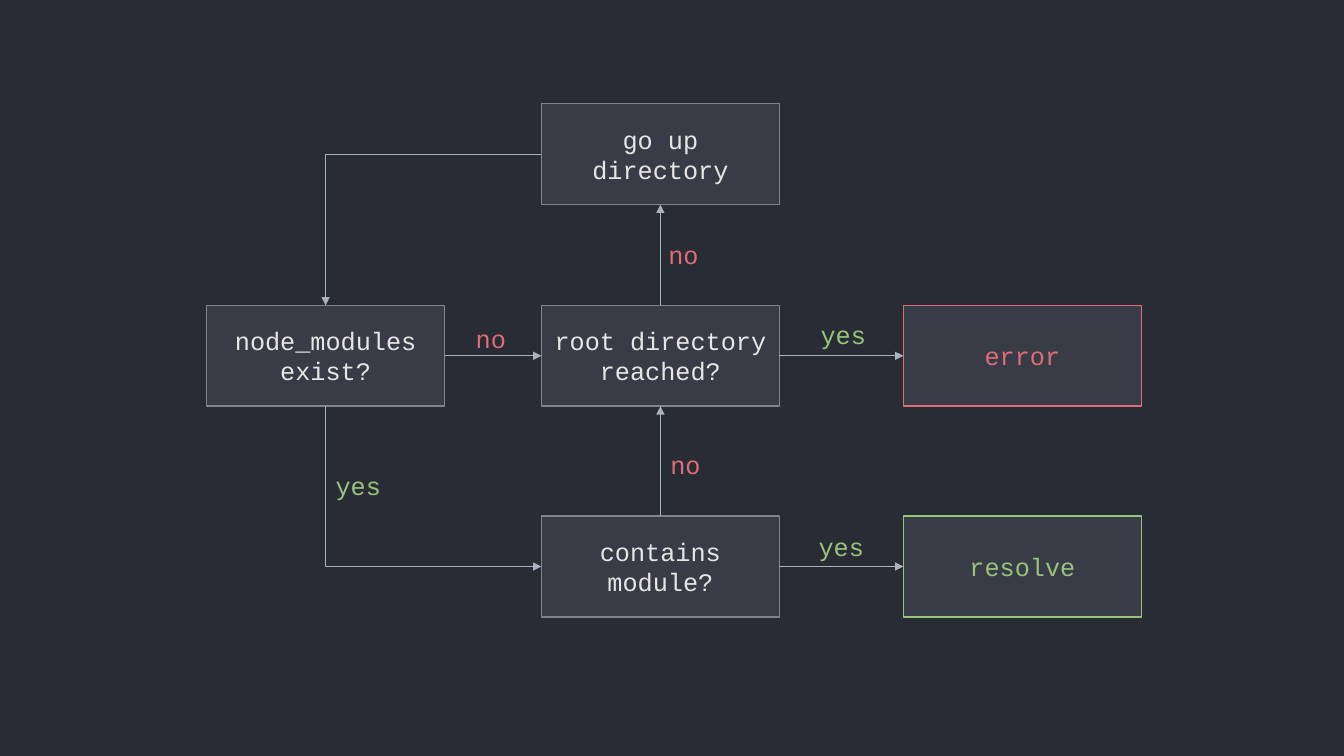
from dataclasses import dataclass

from lxml.etree import SubElement
from pptx import Presentation
from pptx.dml.color import RGBColor as RGB
from pptx.enum.shapes import MSO_CONNECTOR as LINE, MSO_SHAPE as SHAPE
from pptx.enum.text import MSO_ANCHOR as ANCHOR, MSO_AUTO_SIZE as AUTO, PP_ALIGN as ALIGN
from pptx.oxml.ns import qn
from pptx.util import Pt

PX = 9144  # EMU per px, 100 px to the inch
COLS = (205, 537, 896)
ROWS = (103, 303, 512)
BOX_W, BOX_H = 236, 100
TOP, LEFT, BOTTOM, RIGHT = range(4)  # connection sites of a rectangle


@dataclass(frozen=True)
class Theme:
    back: RGB = RGB.from_string("282C34")
    box: RGB = RGB.from_string("373C47")
    border: RGB = RGB.from_string("7F848D")
    text: RGB = RGB.from_string("E7E6E6")
    arrow: RGB = RGB.from_string("ABB2BF")
    yes: RGB = RGB.from_string("98C379")
    no: RGB = RGB.from_string("E06C75")
    font: str = "Courier New"
    size: Pt = Pt(18)
    border_width: Pt = Pt(1)
    arrow_width: Pt = Pt(0.5)


THEME = Theme()


def write(tf, text, color):
    tf.text = text
    font = tf.paragraphs[0].runs[0].font
    font.name, font.size = THEME.font, THEME.size
    font.color.rgb = color


def add_box(s, col, row, text, border=THEME.border, color=THEME.text):
    sp = s.shapes.add_shape(SHAPE.RECTANGLE, COLS[col] * PX, ROWS[row] * PX,
                            BOX_W * PX, BOX_H * PX)
    sp.shadow.inherit = False
    sp.fill.solid()
    sp.fill.fore_color.rgb = THEME.box
    sp.line.color.rgb = border
    sp.line.width = THEME.border_width
    tf = sp.text_frame
    tf.word_wrap = True
    tf.vertical_anchor = ANCHOR.MIDDLE
    write(tf, text, color)
    tf.paragraphs[0].alignment = ALIGN.CENTER
    return sp


def add_label(s, left, top, text, color):
    width = 20 + 15 * len(text)
    tf = s.shapes.add_textbox(left * PX, top * PX, width * PX, 40 * PX).text_frame
    tf.word_wrap = False
    tf.auto_size = AUTO.SHAPE_TO_FIT_TEXT
    write(tf, text, color)


def add_arrow(s, start, start_site, end, end_site, kind=LINE.STRAIGHT):
    cxn = s.shapes.add_connector(kind, 0, 0, 0, 0)
    cxn.begin_connect(start, start_site)
    cxn.end_connect(end, end_site)
    cxn.line.color.rgb = THEME.arrow
    cxn.line.width = THEME.arrow_width
    SubElement(cxn.line._get_or_add_ln(), qn("a:tailEnd"), type="triangle")
    SubElement(cxn._element.spPr, qn("a:effectLst"))
    return cxn


def add_elbow(s, start, start_site, end, end_site):
    """Arrow with one corner; one leaving downwards is turned to run down, then right."""
    cxn = add_arrow(s, start, start_site, end, end_site, LINE.ELBOW)
    spPr = cxn._element.spPr
    spPr.find(qn("a:prstGeom")).set("prst", "bentConnector2")
    if start_site == BOTTOM:
        w, h = cxn.width, cxn.height
        cxn.left += (w - h) // 2
        cxn.top += (h - w) // 2
        cxn.width, cxn.height = h, w
        xfrm = spPr.find(qn("a:xfrm"))
        xfrm.set("rot", str(270 * 60000))
        xfrm.set("flipH", "1")


def main():
    prs = Presentation()
    prs.slide_width, prs.slide_height = 1333 * PX, 750 * PX
    s = prs.slides.add_slide(prs.slide_layouts[6])
    s.background.fill.solid()
    s.background.fill.fore_color.rgb = THEME.back

    go_up = add_box(s, 1, 0, "go up directory")
    exists = add_box(s, 0, 1, "node_modules exist?")
    root = add_box(s, 1, 1, "root directory reached?")
    error = add_box(s, 2, 1, "error", THEME.no, THEME.no)
    contains = add_box(s, 1, 2, "contains module?")
    resolve = add_box(s, 2, 2, "resolve", THEME.yes, THEME.yes)

    for start, end in ((exists, root), (root, error), (contains, resolve)):
        add_arrow(s, start, RIGHT, end, LEFT)
    for start, end in ((root, go_up), (contains, root)):
        add_arrow(s, start, TOP, end, BOTTOM)
    add_elbow(s, exists, BOTTOM, contains, LEFT)
    add_elbow(s, go_up, LEFT, exists, TOP)

    for left, top in ((653, 233), (462, 316), (655, 441)):
        add_label(s, left, top, "no", THEME.no)
    for left, top in ((323, 462), (802, 522), (804, 312)):
        add_label(s, left, top, "yes", THEME.yes)

    prs.save("out.pptx")


if __name__ == "__main__":
    main()
